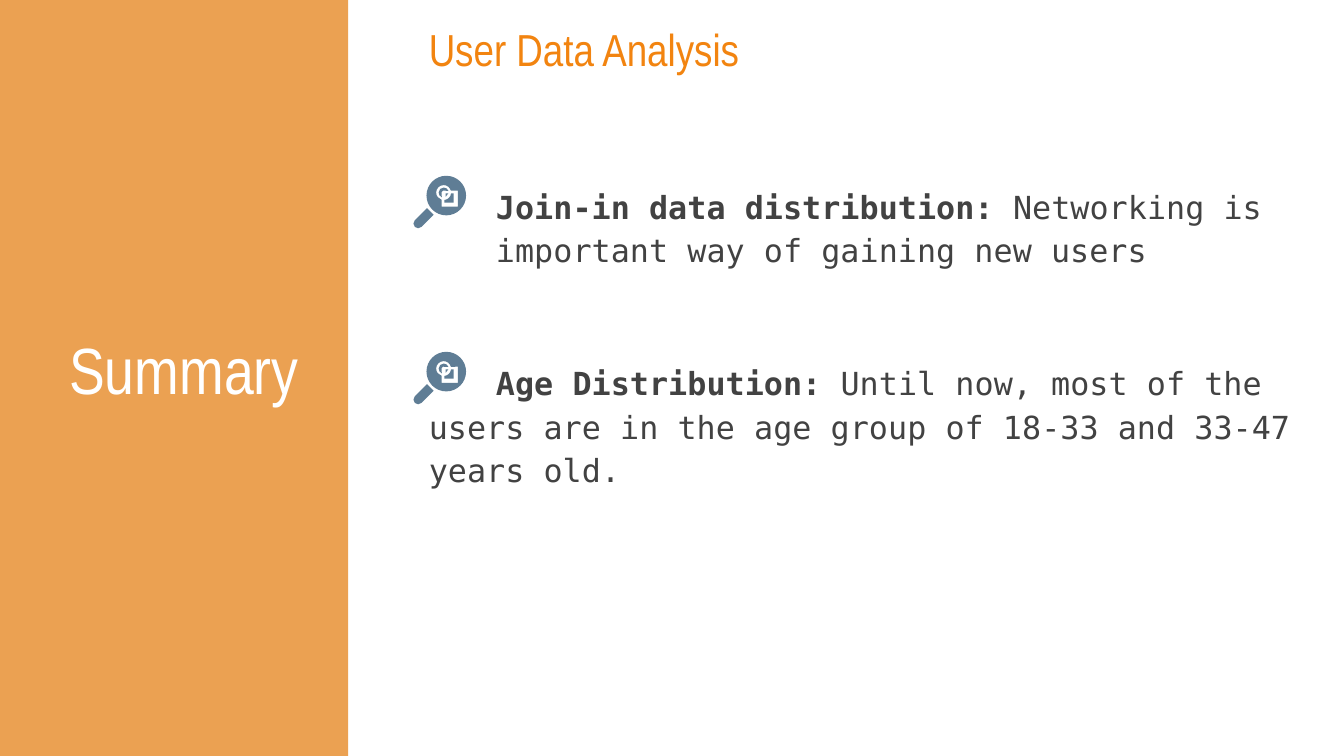
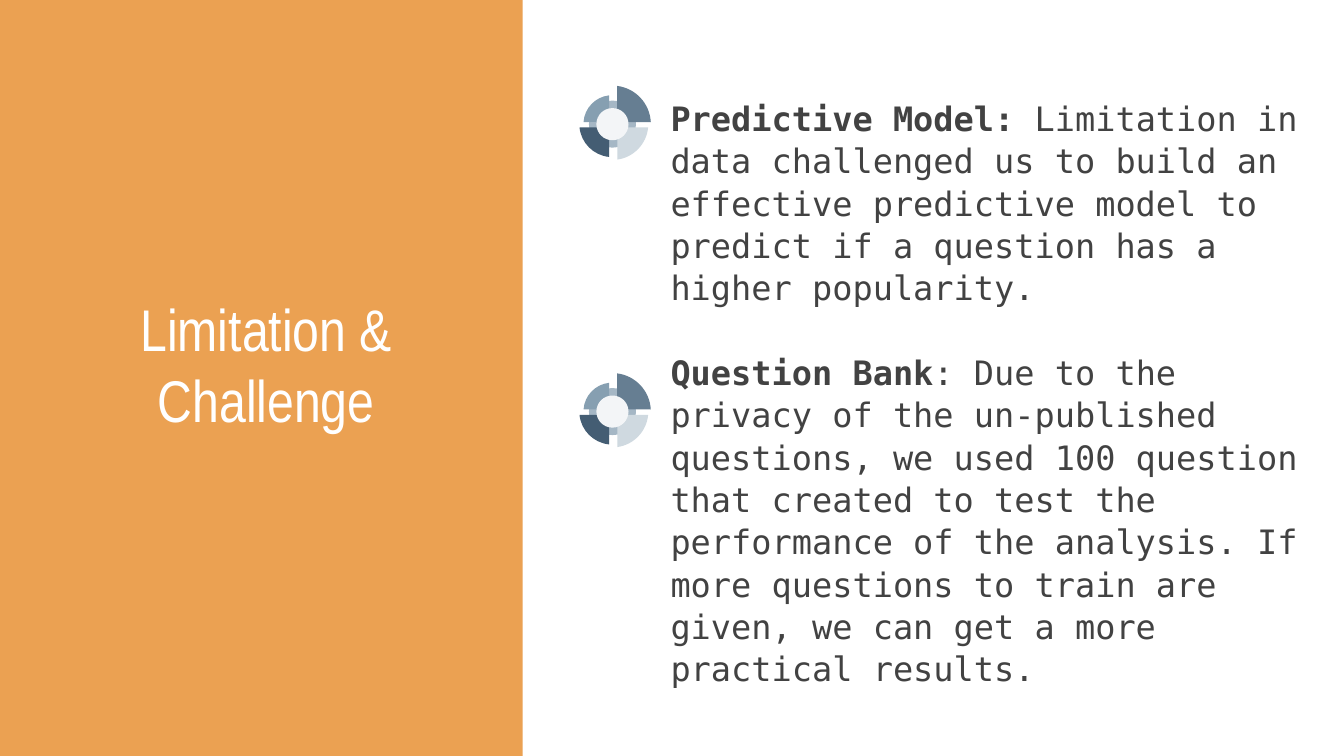
import math
from collections import namedtuple
from dataclasses import dataclass

from lxml import etree
from pptx import Presentation
from pptx.dml.color import RGBColor
from pptx.enum import shapes, text
from pptx.oxml.ns import qn
from pptx.util import Pt

Box = namedtuple("Box", "left top width height")


@dataclass(frozen=True)
class Theme:
    band: str = "EBA152"
    white: str = "FFFFFF"
    heading: str = "F28410"
    body: str = "424242"
    magnifier: str = "5F7D95"
    wheel_ring: str = "A5B7C5"
    wheel_hub: str = "F3F5F7"
    wheel_top_right: str = "667E92"
    wheel_bottom_left: str = "445D73"
    wheel_bottom_right: str = "CFD9E0"
    wheel_top_left: str = "869FB1"
    title_font: str = "Arial Narrow"
    body_font: str = "DejaVu Sans Mono"
    summary_title_size: float = 35
    limitation_title_size: float = 31.5
    heading_size: float = 24
    summary_size: float = 17
    limitation_size: float = 18
    inset: float = 7.2


THEME = Theme()
SLIDE = Box(0, 0, 720, 405)


def place(shape, box):
    shape.left, shape.top, shape.width, shape.height = map(Pt, box)


def paint(shape, color):
    shape.shadow.inherit = False
    shape.fill.solid()
    shape.fill.fore_color.rgb = RGBColor.from_string(color)
    shape.line.fill.background()


def style(font, name, size, color):
    font.name = name
    font.size = Pt(size)
    font.color.rgb = RGBColor.from_string(color)


def prepare_frame(shape, anchor, top_inset=THEME.inset):
    frame = shape.text_frame
    frame.word_wrap = True
    frame.auto_size = text.MSO_AUTO_SIZE.NONE
    frame.vertical_anchor = anchor
    frame.margin_left = frame.margin_right = frame.margin_bottom = Pt(THEME.inset)
    frame.margin_top = Pt(top_inset)
    return frame


def add_title_band(slide, band_box, title_box, wording, size):
    title = slide.shapes.title
    band = slide.shapes.add_shape(shapes.MSO_SHAPE.RECTANGLE, *map(Pt, band_box))
    paint(band, THEME.band)
    title.element.addprevious(band.element)
    place(title, title_box)
    frame = prepare_frame(title, text.MSO_ANCHOR.BOTTOM)
    frame.text = wording
    paragraph = frame.paragraphs[0]
    paragraph.alignment = text.PP_ALIGN.CENTER
    style(paragraph.font, THEME.title_font, size, THEME.white)


def format_paragraph(paragraph, spacing, before=0, left=0, indent=0):
    paragraph.line_spacing = spacing
    paragraph.space_before = Pt(before)
    properties = paragraph._p.get_or_add_pPr()
    properties.set("marL", str(Pt(left)))
    properties.set("indent", str(Pt(indent)))
    etree.SubElement(properties, qn("a:buNone"))


def add_finding(paragraph, label, detail, size):
    style(paragraph.font, THEME.body_font, size, THEME.body)
    for wording, bold in ((label, True), (detail, False)):
        run = paragraph.add_run()
        run.text = wording
        run.font.bold = bold


def corners(*points):
    return [(point,) for point in points]


def arc(center, radius, start, end):
    def polar(angle, reach=0):
        cosine, sine = math.cos(angle), math.sin(angle)
        return (center[0] + radius * (cosine - reach * sine),
                center[1] + radius * (sine + reach * cosine))

    low, high = sorted((start, end))
    quarters = [a for a in range(-360, 361, 90) if low < a < high]
    angles = [math.radians(a) for a in sorted([low, *quarters, high], reverse=start > end)]
    nodes = corners(polar(angles[0]))
    for a, b in zip(angles, angles[1:]):
        reach = 4 / 3 * math.tan((b - a) / 4)
        nodes.append((polar(a, reach), polar(b, -reach), polar(b)))
    return nodes


def circle(center, radius):
    return arc(center, radius, 0, 360)


def add_outline(group, origin, color, *contours):
    contours = [[[(Pt(x), Pt(y)) for x, y in node] for node in contour]
                for contour in contours]
    ends = [[node[-1] for node in contour] for contour in contours]
    builder = group.shapes.build_freeform(*ends[0][0])
    for number, points in enumerate(ends):
        if number:
            builder.move_to(*points[0])
        builder.add_line_segments(points[1:], close=True)
    shape = builder.convert_to_shape(*map(Pt, origin))
    paint(shape, color)
    left, top = (min(values) for values in zip(*sum(ends, [])))
    nodes = [node for contour in contours for node in contour[1:]]
    for segment, node in zip(list(shape.element.iter(qn("a:lnTo"))), nodes):
        if len(node) == 3:
            curve = etree.Element(qn("a:cubicBezTo"))
            for x, y in node:
                etree.SubElement(curve, qn("a:pt"), x=str(x - left), y=str(y - top))
            segment.getparent().replace(segment, curve)


def add_magnifier(slide, left, top):
    group = slide.shapes.add_group_shape()
    ring = (16.2, 9)
    handle = corners((7.2, 17.3)) + arc((2.5, 25.6), 2.5, 225, 45) + corners((10.8, 20.9))
    overlap = corners((17.3, 9.4), (17.3, 11.2), (18.7, 9.4))
    round_part = arc(ring, 2.7, -20, -248) + corners((15.1, 8.7), (15.8, 8))
    square_part = arc(ring, 4, 7, 85) + corners((16.6, 14.4), (21.6, 14.4), (21.6, 9.4))
    opening = arc(ring, 4, -14, -254) + corners((15.1, 16.6), (23.8, 16.6), (23.8, 8))
    lens = circle((17.6, 10.6), 10.6)
    for contours in ([handle], [overlap], [round_part], [square_part], [lens, opening]):
        add_outline(group, (left, top), THEME.magnifier, *contours)


def wedge(center, radius, dx, dy):
    start = math.atan2(math.copysign(math.sqrt(radius**2 - dx**2), dy), dx)
    end = math.atan2(dy, math.copysign(math.sqrt(radius**2 - dy**2), dx))
    corner = (center[0] + dx, center[1] + dy)
    return corners(corner) + arc(center, radius, math.degrees(start), math.degrees(end))


def add_wheel(slide, left, top):
    group = slide.shapes.add_group_shape()
    center = (17.6, 20.5)
    quadrants = (
        (THEME.wheel_top_right, 20.6, 2.6, -1.1),
        (THEME.wheel_bottom_left, 17.7, -1.8, 1.8),
        (THEME.wheel_bottom_right, 19.2, 2.6, 1.8),
        (THEME.wheel_top_left, 15.5, -1.8, -1.1),
    )
    add_outline(group, (left, top), THEME.wheel_ring, circle(center, 12.6))
    for color, radius, dx, dy in quadrants:
        add_outline(group, (left, top), color, wedge(center, radius, dx, dy))
    add_outline(group, (left, top), THEME.wheel_hub, circle(center, 8.6))


def add_summary_body(slide, box):
    body = slide.placeholders[1]
    place(body, box)
    frame = prepare_frame(body, text.MSO_ANCHOR.TOP)
    heading = frame.paragraphs[0]
    heading.text = "User Data Analysis"
    format_paragraph(heading, 1.15, left=36)
    style(heading.font, THEME.title_font, THEME.heading_size, THEME.heading)
    findings = (
        ("Join-in data distribution: ",
         "Networking is important way of gaining new users", 57, 72, 0),
        ("Age Distribution: ",
         "Until now, most of the users are in the age group of 18-33 and 33-47 "
         "years old.", 47.6, 36, 36),
    )
    for row, (label, detail, before, left, indent) in enumerate(findings):
        paragraph = frame.add_paragraph()
        format_paragraph(paragraph, 1.15, before, left, indent)
        add_finding(paragraph, label, detail, THEME.summary_size)
        add_magnifier(slide, box.left + 35, box.top + 94.2 + row * 94.3)


def add_limitation_body(slide, box):
    body = slide.placeholders[1]
    place(body, box)
    frame = prepare_frame(body, text.MSO_ANCHOR.TOP, top_inset=51.4)
    limitations = (
        ("Predictive Model:",
         " Limitation in data challenged us to build an effective predictive model "
         "to predict if a question has a higher popularity."),
        ("Question Bank",
         ": Due to the privacy of the un-published questions, we used 100 question "
         "that created to test the performance of the analysis. If more questions "
         "to train are given, we can get a more practical results."),
    )
    for row, (label, detail) in enumerate(limitations):
        paragraph = frame.add_paragraph() if row else frame.paragraphs[0]
        format_paragraph(paragraph, 1.05, before=22.6 * row, left=72)
        add_finding(paragraph, label, detail, THEME.limitation_size)
        add_wheel(slide, box.left + 30.5, box.top + 46 + row * 154)


def build_summary(slide):
    add_title_band(slide, Box(-6.5, 0, 193, SLIDE.height), Box(21.2, 84.6, 154.8, 141),
                   "Summary", THEME.summary_title_size)
    add_summary_body(slide, Box(186.5, 0, 533.5, SLIDE.height))


def build_limitation(slide):
    add_title_band(slide, Box(0, 0, 280, SLIDE.height), Box(20.9, 150.5, 243.4, 89.3),
                   "Limitation & Challenge", THEME.limitation_title_size)
    add_limitation_body(slide, Box(280, 0, 440, SLIDE.height))


def main():
    presentation = Presentation()
    presentation.slide_width = Pt(SLIDE.width)
    presentation.slide_height = Pt(SLIDE.height)
    for build in (build_summary, build_limitation):
        build(presentation.slides.add_slide(presentation.slide_layouts[1]))
    presentation.save("out.pptx")


if __name__ == "__main__":
    main()
